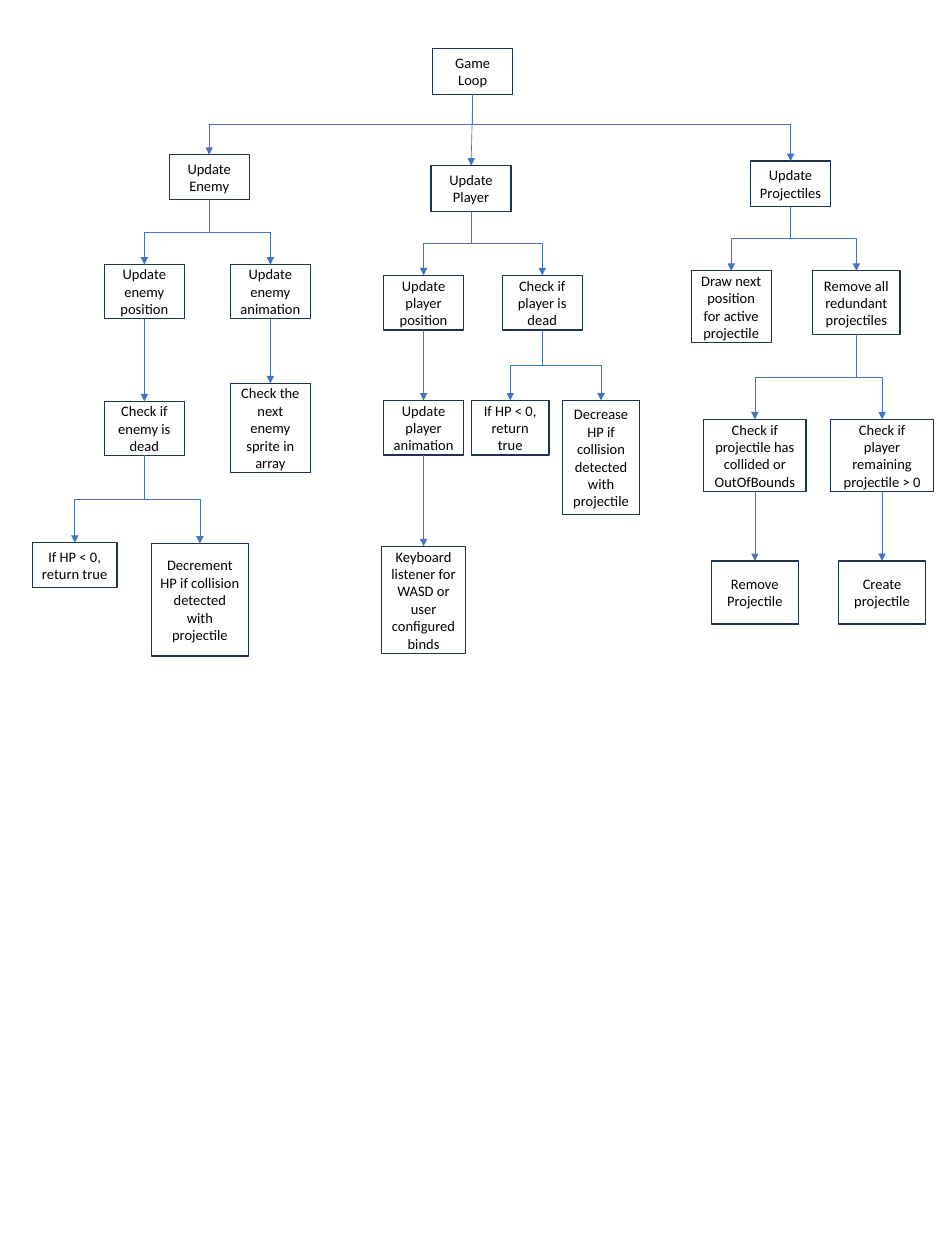
import pptx
import pptx.dml.color
import pptx.enum.shapes
import pptx.enum.text
import pptx.oxml
import pptx.oxml.ns
import pptx.util

Pt = pptx.util.Pt
qn = pptx.oxml.ns.qn
COLORS = {"fill": "FFFFFF", "border": "1E3256", "text": "000000", "arrow": "4472C4"}


class Chart:
    font = "Calibri"
    size = 11.6

    def __init__(self, slide):
        self.s = slide

    def color(self, name):
        return pptx.dml.color.RGBColor.from_string(COLORS[name])

    def box(self, text, center, top, w, h):
        sp = self.s.shapes.add_shape(
            pptx.enum.shapes.MSO_SHAPE.RECTANGLE, Pt(center - w / 2), Pt(top), Pt(w), Pt(h))
        sp.shadow.inherit = False
        sp.fill.solid()
        sp.fill.fore_color.rgb = self.color("fill")
        sp.line.color.rgb = self.color("border")
        sp.line.width = Pt(1)
        tf = sp.text_frame
        tf.word_wrap = True
        tf.vertical_anchor = pptx.enum.text.MSO_ANCHOR.MIDDLE
        p = tf.paragraphs[0]
        p.text = text
        p.alignment = pptx.enum.text.PP_ALIGN.CENTER
        p.font.name = self.font
        p.font.size = Pt(self.size)
        p.font.color.rgb = self.color("text")
        return sp

    def arrow(self, parent, child, bar):
        x1, y1 = parent.left + parent.width // 2, parent.top + parent.height
        x2, y2 = child.left + child.width // 2, child.top
        dx, dy = x2 - x1, y2 - y1
        kinds = pptx.enum.shapes.MSO_CONNECTOR
        bent = abs(dx) > Pt(3)
        c = self.s.shapes.add_connector(
            kinds.ELBOW if bent else kinds.STRAIGHT, x1, y1, x2, y2)
        c.begin_connect(parent, 2)
        c.end_connect(child, 0)
        pr = c._element.spPr
        if bent:
            self.turn(c, pr, x1, y1, dx, dy, (bar - y1) / dy)
        c.line.color.rgb = self.color("arrow")
        c.line.width = Pt(0.5)
        ln = pr.find(qn("a:ln"))
        ln.append(pptx.oxml.parse_xml(
            '<a:tailEnd xmlns:a="%s" type="triangle"/>' % pptx.oxml.ns.nsuri("a")))
        pr.append(pptx.oxml.parse_xml(
            '<a:effectLst xmlns:a="%s"/>' % pptx.oxml.ns.nsuri("a")))

    def turn(self, c, pr, x, y, dx, dy, share):
        c.left, c.top = x + (dx - dy) // 2, y + (dy - abs(dx)) // 2
        c.width, c.height = dy, abs(dx)
        xfrm = pr.find(qn("a:xfrm"))
        xfrm.attrib.pop("flipH", None)
        xfrm.attrib.pop("flipV", None)
        xfrm.set("rot", "5400000" if dx < 0 else "16200000")
        if dx > 0:
            xfrm.set("flipH", "1")
        geom = pr.find(qn("a:prstGeom"))
        for old in geom.findall(qn("a:avLst")):
            geom.remove(old)
        geom.append(pptx.oxml.parse_xml(
            '<a:avLst xmlns:a="%s"><a:gd name="adj1" fmla="val %d"/></a:avLst>'
            % (pptx.oxml.ns.nsuri("a"), round(share * 100000))))

    def tree(self, text, center, top, w, h, *branches):
        parent = self.box(text, center, top, w, h)
        children = [self.tree(*branch) for branch in branches]
        if children:
            bar = (parent.top + parent.height + children[0].top) / 2
            for child in children:
                self.arrow(parent, child, bar)
        return parent


ENEMY = (
    "Update Enemy", 167.4, 123.8, 64, 36,
    ("Update enemy position", 115.5, 211.7, 64, 43.2,
     ("Check if enemy is dead", 115.5, 321.1, 64, 43.2,
      ("If HP < 0, return true", 59.8, 434.2, 67.7, 36),
      ("Decrement HP if collision detected with projectile", 159.9, 434.9, 77.8, 90))),
    ("Update enemy animation", 216.3, 211.7, 64, 43.2,
     ("Check the next enemy sprite in array", 216.3, 306.7, 64, 71.3)))

PLAYER = (
    "Update Player", 376.9, 132.5, 64, 36.5,
    ("Update player position", 338.9, 220.3, 64, 43.7,
     ("Update player animation", 338.9, 320.4, 64, 43.7,
      ("Keyboard listener for WASD or user configured binds", 338.9, 437, 67.7, 85.7))),
    ("Check if player is dead", 433.8, 220.3, 64, 43.7,
     ("If HP < 0, return true", 408.2, 320.4, 61.9, 43.7),
     ("Decrease HP if collision detected with projectile", 480.9, 320.4, 61.9, 91.4)))

PROJECTILES = (
    "Update Projectiles", 632.5, 128.9, 64, 36.5,
    ("Draw next position for active projectile", 585, 216.7, 64, 57.6),
    ("Remove all redundant projectiles", 685.1, 216.7, 69.8, 50.8,
     ("Check if projectile has collided or OutOfBounds", 603.9, 335.5, 82, 57.6,
      ("Remove Projectile", 603.9, 448.8, 69.8, 50.4)),
     ("Check if player remaining projectile > 0", 705.7, 335.5, 82, 57.6,
      ("Create projectile", 705.7, 448.8, 69.8, 50.4))))

prs = pptx.Presentation()
prs.slide_width, prs.slide_height = Pt(756), Pt(1008)
s = prs.slides.add_slide(prs.slide_layouts[6])
Chart(s).tree("Game Loop", 378.2, 38.9, 64, 36.5, ENEMY, PLAYER, PROJECTILES)
prs.save("out.pptx")
